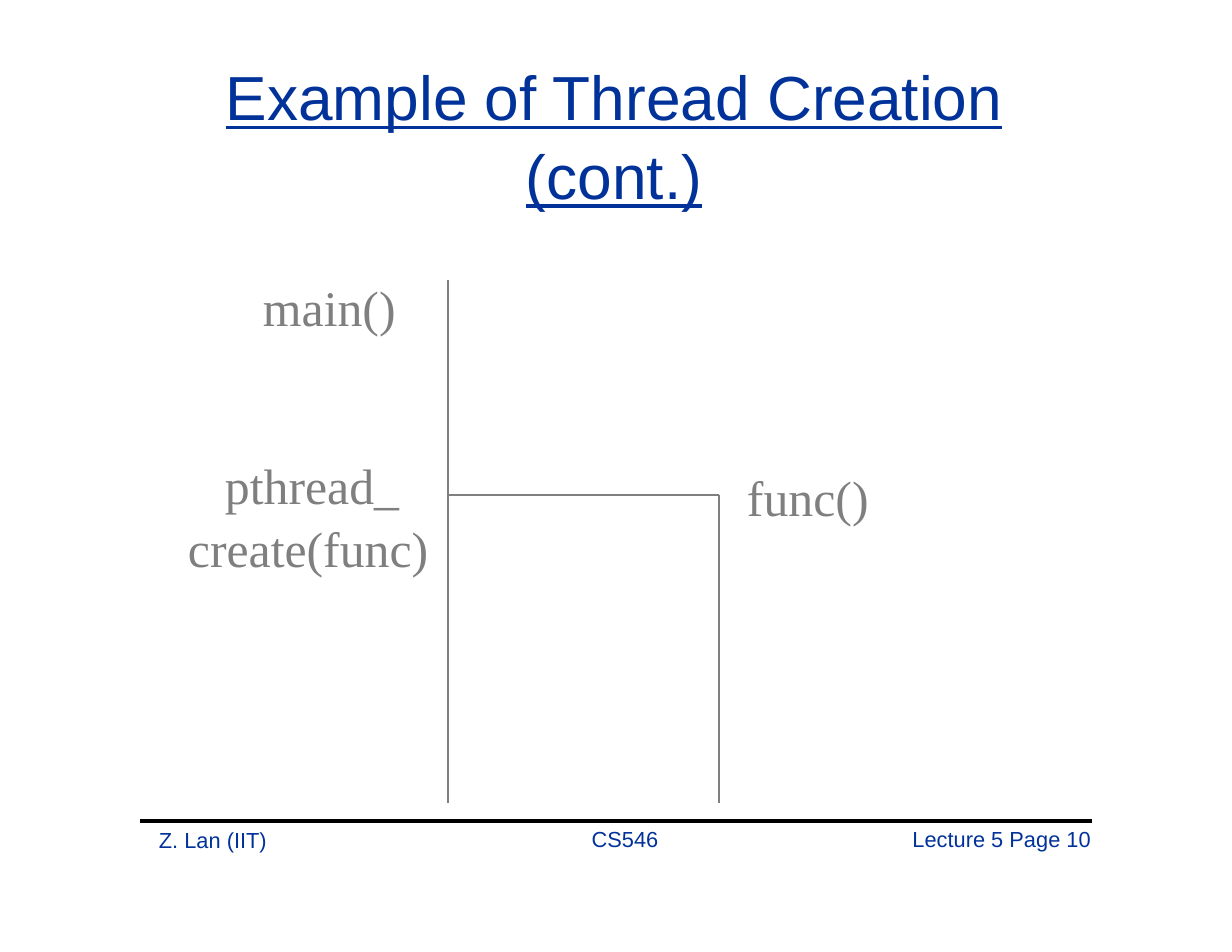
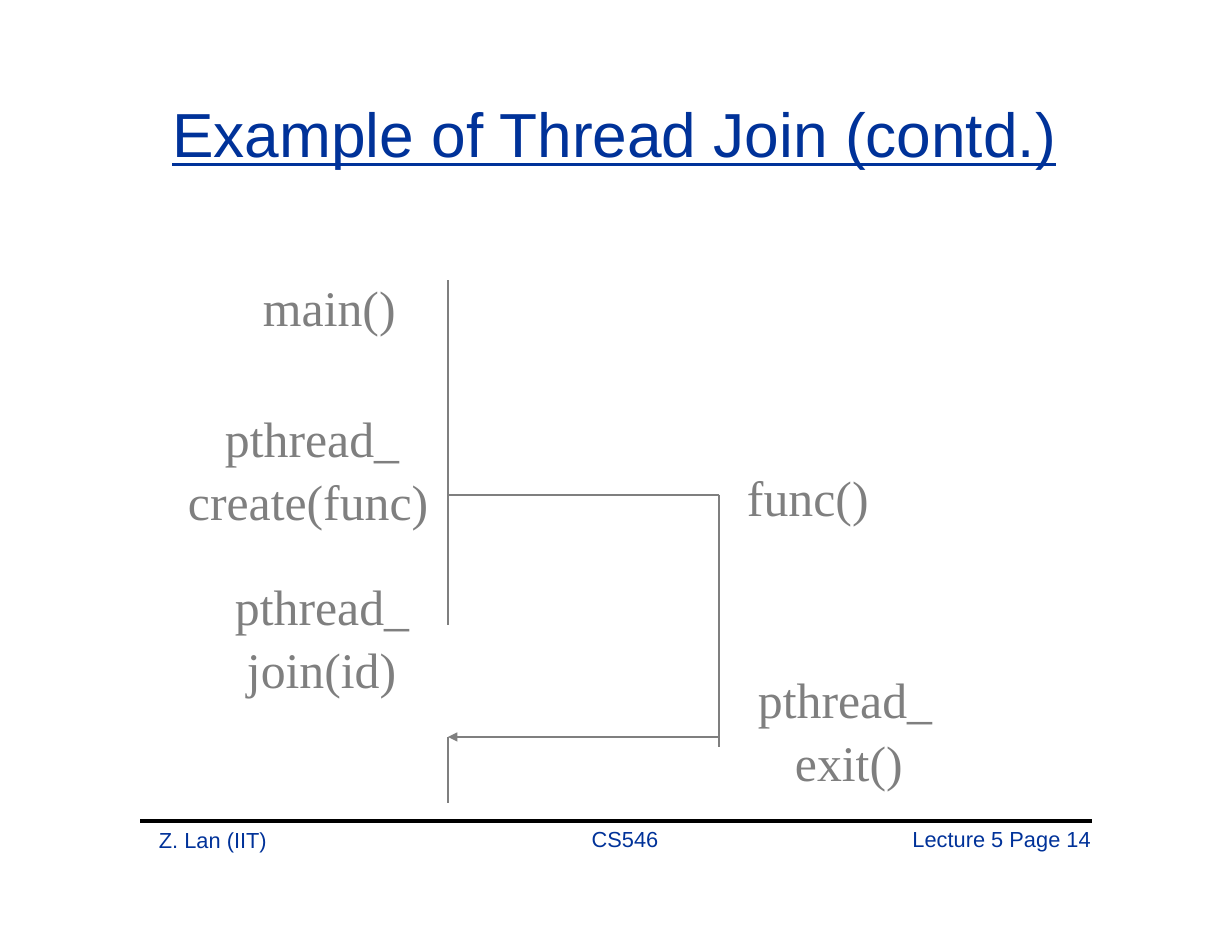
from lxml import etree
from pptx import Presentation
from pptx.dml.color import RGBColor
from pptx.enum.shapes import MSO_CONNECTOR
from pptx.enum.text import MSO_ANCHOR, MSO_AUTO_SIZE, PP_ALIGN
from pptx.oxml.ns import qn
from pptx.util import Emu, Pt

NAVY, GRAY, BLACK = "003299", "7F7F7F", "000000"
TITLE_STYLE = {"name": "Arial", "size": Pt(40), "underline": True, "bold": False}
LABEL_STYLE = {"name": "Times New Roman", "size": Pt(32)}
FOOTER_STYLE = {"name": "Arial", "size": Pt(14)}

TITLE_BOX = (137, 45, 954, 165)
MAIN_X, FUNC_X = 448, 719
START_Y, SPLIT_Y, CREATE_Y, END_Y = 280, 476, 495, 803
JOIN_Y, EXIT_Y, RESUME_Y = 625, 747, 737
RULE = (140, 821, 1092, 821)

# (text, left, top, width, first-line indent)
SHARED_LABELS = [
    ("main()", 263, 274, 140, 0),
    ("func()", 747, 464, 130, 0),
]
SHARED_LINES = [
    (MAIN_X, START_Y, MAIN_X, SPLIT_Y),
    (MAIN_X, CREATE_Y, FUNC_X, CREATE_Y),
]
FOOTERS = [
    ("Z. Lan (IIT)", 159, 830, 130, PP_ALIGN.LEFT),
    ("CS546", 565, 829, 120, PP_ALIGN.CENTER),
    ("Lecture 5 Page {page}", 871, 829, 220, PP_ALIGN.RIGHT),
]
SLIDES = [
    {
        "title": "Example of Thread Creation (cont.)",
        "title_inset": 10,
        "page": 10,
        "labels": [("pthread_\vcreate(func)", 188, 452, 250, 37)],
        "lines": [
            (MAIN_X, SPLIT_Y, MAIN_X, END_Y),
            (FUNC_X, CREATE_Y, FUNC_X, END_Y),
        ],
        "arrows": [],
    },
    {
        "title": "Example of Thread Join (contd.)",
        "title_inset": 47,
        "page": 14,
        "labels": [
            ("pthread_\vcreate(func)", 188, 405, 250, 37),
            ("pthread_\vjoin(id)", 235, 573, 190, -12),
            ("pthread_\vexit()", 758, 666, 190, -37),
        ],
        "lines": [
            (MAIN_X, SPLIT_Y, MAIN_X, JOIN_Y),
            (FUNC_X, CREATE_Y, FUNC_X, EXIT_Y),
            (MAIN_X, RESUME_Y, MAIN_X, END_Y),
        ],
        "arrows": [(FUNC_X, RESUME_Y, MAIN_X, RESUME_Y)],
    },
]


def px(length):
    return Emu(round(length * 914400 / 112))


def color(value):
    return RGBColor.from_string(value)


def format_text(shape, text, style, text_color, spacing, align=PP_ALIGN.LEFT, inset=0):
    frame = shape.text_frame
    settings = {
        "word_wrap": True,
        "auto_size": MSO_AUTO_SIZE.NONE,
        "vertical_anchor": MSO_ANCHOR.TOP,
        "margin_left": 0,
        "margin_right": 0,
        "margin_top": px(inset),
        "margin_bottom": 0,
    }
    for name, value in settings.items():
        setattr(frame, name, value)
    paragraph = frame.paragraphs[0]
    paragraph.text = text
    paragraph.alignment = align
    paragraph.line_spacing = spacing
    for run in paragraph.runs:
        for name, value in style.items():
            setattr(run.font, name, value)
        run.font.color.rgb = color(text_color)
    return paragraph


def add_title(slide, text, inset):
    title = slide.shapes.title
    for name, value in zip(("left", "top", "width", "height"), TITLE_BOX):
        setattr(title, name, px(value))
    format_text(title, text, TITLE_STYLE, NAVY, 1.05, PP_ALIGN.CENTER, inset)


def add_label(slide, text, left, top, width, indent):
    height = 62 * len(text.split("\v"))
    box = slide.shapes.add_textbox(px(left), px(top), px(width), px(height))
    paragraph = format_text(box, text, LABEL_STYLE, GRAY, 1.05)
    properties = paragraph._p.get_or_add_pPr()
    properties.set("marL", str(px(max(0, -indent))))
    properties.set("indent", str(px(indent)))


def add_line(slide, points, line_color=GRAY, width=0.84, arrow=False):
    connector = slide.shapes.add_connector(MSO_CONNECTOR.STRAIGHT, *map(px, points))
    connector.line.color.rgb = color(line_color)
    connector.line.width = Pt(width)
    if arrow:
        outline = connector.line._get_or_add_ln()
        etree.SubElement(outline, qn("a:tailEnd"), type="triangle")
    etree.SubElement(connector._element.spPr, qn("a:effectLst"))


def add_footer(slide, page):
    add_line(slide, RULE, BLACK, 2.28)
    for text, left, top, width, align in FOOTERS:
        box = slide.shapes.add_textbox(px(left), px(top), px(width), px(25))
        format_text(box, text.format(page=page), FOOTER_STYLE, NAVY, Pt(14.7), align)


def main():
    presentation = Presentation()
    presentation.slide_width, presentation.slide_height = px(1232), px(952)
    for content in SLIDES:
        slide = presentation.slides.add_slide(presentation.slide_layouts[5])
        add_title(slide, content["title"], content["title_inset"])
        for label in SHARED_LABELS + content["labels"]:
            add_label(slide, *label)
        for points in SHARED_LINES + content["lines"]:
            add_line(slide, points)
        for points in content["arrows"]:
            add_line(slide, points, arrow=True)
        add_footer(slide, content["page"])
    presentation.save("out.pptx")


if __name__ == "__main__":
    main()
